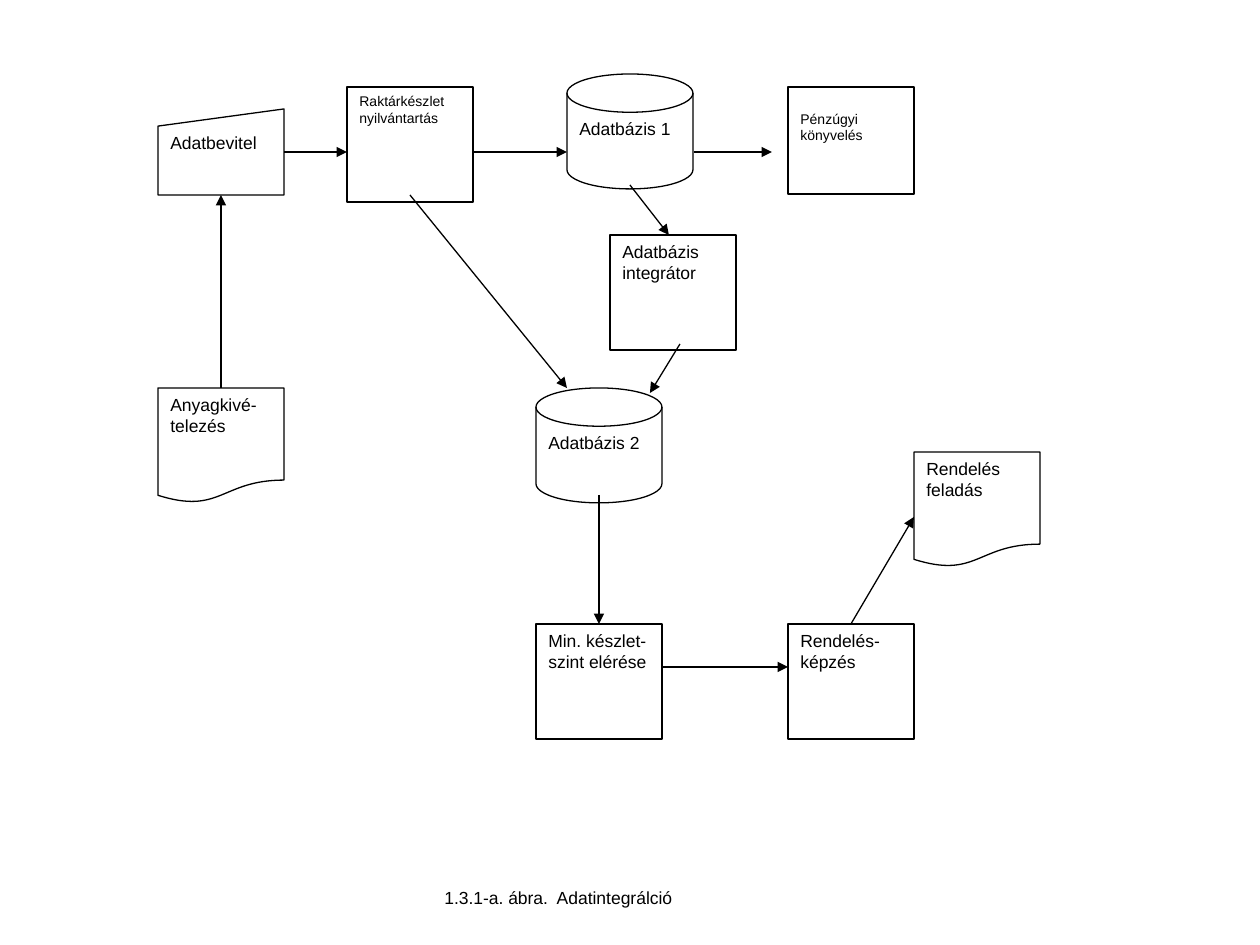
from lxml import etree
from pptx import Presentation
from pptx.dml.color import RGBColor
from pptx.enum.shapes import MSO_CONNECTOR, MSO_SHAPE
from pptx.enum.text import MSO_ANCHOR, PP_ALIGN
from pptx.oxml.ns import qn
from pptx.util import Emu, Pt

PX = 914400 // 126
BLACK, WHITE = "000000", "FFFFFF"
FONT = "Arial"
PROCESS = MSO_SHAPE.FLOWCHART_PROCESS
DISK = MSO_SHAPE.FLOWCHART_MAGNETIC_DISK
DOCUMENT = MSO_SHAPE.FLOWCHART_DOCUMENT
MANUAL_INPUT = MSO_SHAPE.FLOWCHART_MANUAL_INPUT
RECTANGLE = MSO_SHAPE.RECTANGLE
STRAIGHT = MSO_CONNECTOR.STRAIGHT
TOP, LEFT = MSO_ANCHOR.TOP, PP_ALIGN.LEFT
NODE_WIDTH, NODE_HEIGHT = 126, 115

# Preset, left, top, height, text, text format
NODES = [
    (DISK, 536, 388, NODE_HEIGHT, "Adatbázis 2", {}),
    (DISK, 567, 74, NODE_HEIGHT, "Adatbázis 1", {}),
    (PROCESS, 347, 87, NODE_HEIGHT, "Raktárkészlet nyilvántartás", {"size": 8}),
    (PROCESS, 788, 87, 107, "Pénzúgyi\nkönyvelés", {"size": 8, "inset_top": 23}),
    (MANUAL_INPUT, 158, 109, 86, "Adatbevitel", {}),
    (DOCUMENT, 158, 388, NODE_HEIGHT, "Anyagkivé-telezés", {}),
    (PROCESS, 536, 624, NODE_HEIGHT, "Min. készlet- szint elérése", {}),
    (PROCESS, 788, 624, NODE_HEIGHT, "Rendelés-képzés", {}),
    (DOCUMENT, 914, 452, NODE_HEIGHT, "Rendelés\nfeladás", {}),
    (PROCESS, 610, 235, NODE_HEIGHT, "Adatbázis\nintegrátor", {}),
]

# The start of this arrow lies under the input node
INPUT_FLOW = (253, 152, 347, 152)

# Start x, start y, end x, end y
FLOWS = [
    (221, 388, 221, 195),
    (473, 152, 567, 152),
    (694, 152, 772, 152),
    (410, 195, 567, 388),
    (599, 495, 599, 624),
    (662, 667, 788, 667),
    (851, 624, 914, 517),
    (630, 185, 669, 235),
    (680, 344, 650, 393),
]


def px(value):
    return Emu(value * PX)


def color(hex_value):
    return RGBColor.from_string(hex_value)


def write_text(shape, text, size=10, inset_top=6):
    frame = shape.text_frame
    frame.word_wrap = True
    frame.vertical_anchor = TOP
    frame.margin_top = px(inset_top)
    frame.text = text
    for paragraph in frame.paragraphs:
        paragraph.alignment = LEFT
        paragraph.font.name = FONT
        paragraph.font.size = Pt(size)
        paragraph.font.color.rgb = color(BLACK)


def add_box(slide, preset, left, top, width, height, outlined=True):
    box = slide.shapes.add_shape(preset, px(left), px(top), px(width), px(height))
    box.shadow.inherit = False
    box.fill.solid()
    box.fill.fore_color.rgb = color(WHITE)
    if outlined:
        box.line.color.rgb = color(BLACK)
        box.line.width = Pt(0.75)
    else:
        box.line.fill.background()
    return box


def add_arrow(slide, *ends):
    arrow = slide.shapes.add_connector(STRAIGHT, *map(px, ends))
    arrow.line.color.rgb = color(BLACK)
    arrow.line.width = Pt(0.75)
    etree.SubElement(arrow.line._get_or_add_ln(), qn("a:tailEnd"), type="triangle")
    etree.SubElement(arrow._element.spPr, qn("a:effectLst"))


def main():
    deck = Presentation()
    deck.slide_width, deck.slide_height = px(1260), px(945)
    slide = deck.slides.add_slide(deck.slide_layouts[6])

    # Flowchart
    add_arrow(slide, *INPUT_FLOW)
    for preset, left, top, height, text, text_format in NODES:
        node = add_box(slide, preset, left, top, NODE_WIDTH, height)
        write_text(node, text, **text_format)
    for flow in FLOWS:
        add_arrow(slide, *flow)

    # Figure caption
    caption = add_box(slide, RECTANGLE, 432, 881, 394, 64, outlined=False)
    write_text(caption, "1.3.1-a. ábra.  Adatintegrálció")

    deck.save("out.pptx")


if __name__ == "__main__":
    main()
